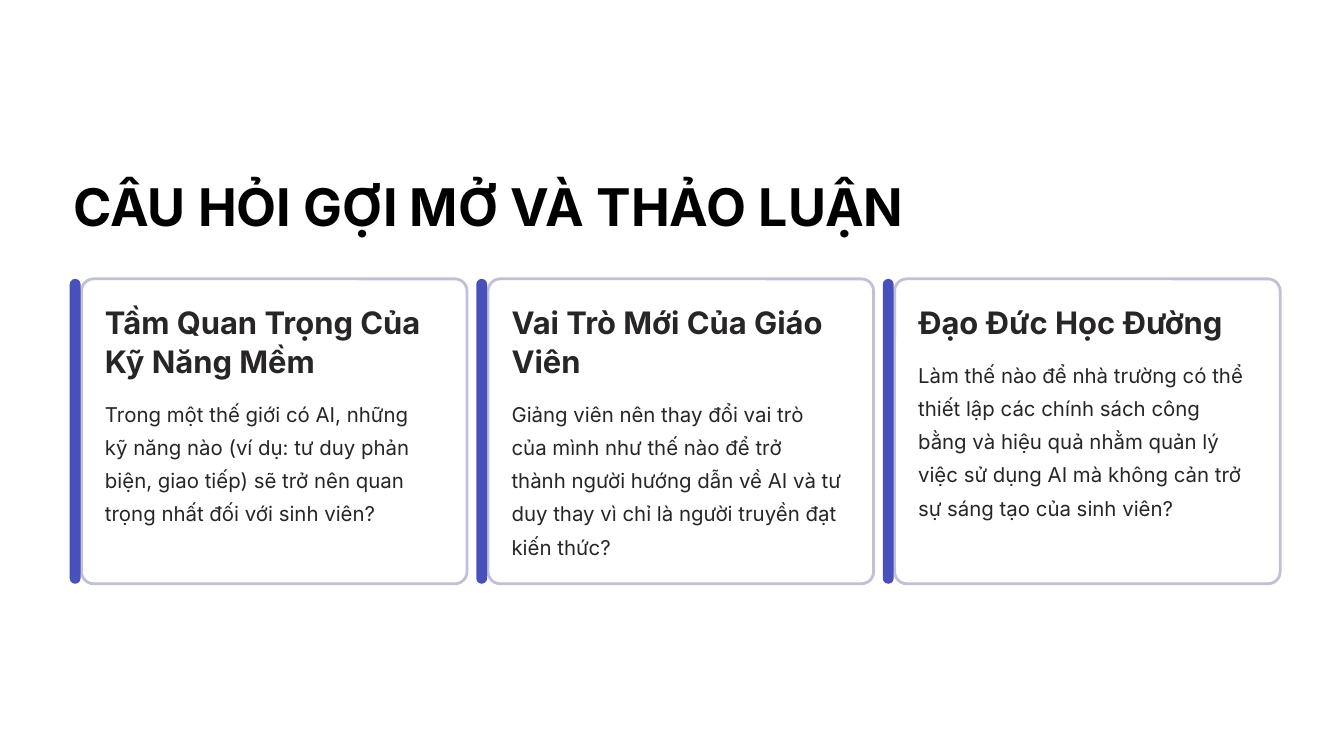
from dataclasses import dataclass

from pptx import Presentation
from pptx import util as u
from pptx.dml.color import RGBColor
from pptx.enum import shapes, text


@dataclass(frozen=True)
class Theme:
    font: str = "Inter"
    black: str = "000000"
    ink: str = "272525"
    white: str = "FFFFFF"
    edge: str = "C0C1D7"
    accent: str = "4950BC"
    # Each type style: size and line pitch in points, bold
    title: tuple = (44.5, 55.5, True)
    head: tuple = (26.5, 33, True)
    body: tuple = (17.5, 28.5, False)


class Board:
    """Draws on one slide, with lengths in a grid of 160 columns by 90 rows."""

    def __init__(self, deck, theme):
        self.theme = theme
        self.slide = deck.slides.add_slide(deck.slide_layouts[5])
        self.col = deck.slide_width / 160
        self.row = deck.slide_height / 90

    def area(self, x, y, w, h):
        return (round(x * self.col), round(y * self.row),
                round(w * self.col), round(h * self.row))

    def fill_text(self, shape, words, style, color):
        size, pitch, bold = style
        frame = shape.text_frame
        frame.text = words
        frame.word_wrap = True
        frame.auto_size = text.MSO_AUTO_SIZE.NONE
        frame.vertical_anchor = text.MSO_ANCHOR.TOP
        frame.margin_left = frame.margin_right = 0
        frame.margin_top = frame.margin_bottom = 0
        para = frame.paragraphs[0]
        para.alignment = text.PP_ALIGN.LEFT
        para.line_spacing = u.Pt(pitch)
        para.space_before = u.Pt(0)
        font = para.runs[0].font
        font.name, font.size, font.bold = self.theme.font, u.Pt(size), bold
        font.color.rgb = RGBColor.from_string(color)

    def title(self, words, *box):
        shape = self.slide.shapes.title
        shape.left, shape.top, shape.width, shape.height = self.area(*box)
        self.fill_text(shape, words, self.theme.title, self.theme.black)

    def label(self, words, style, *box):
        shape = self.slide.shapes.add_textbox(*self.area(*box))
        self.fill_text(shape, words, style, self.theme.ink)

    def panel(self, fill, round_by, *box, edge=None):
        shape = self.slide.shapes.add_shape(
            shapes.MSO_SHAPE.ROUNDED_RECTANGLE, *self.area(*box))
        shape.shadow.inherit = False
        shape.adjustments[0] = round_by
        shape.fill.solid()
        shape.fill.fore_color.rgb = RGBColor.from_string(fill)
        if edge:
            shape.line.color.rgb = RGBColor.from_string(edge)
            shape.line.width = u.Pt(2.4)
        else:
            shape.line.fill.background()

    def card(self, x, head, lines, body):
        """Draw a card; lines is how many lines its heading takes."""
        look = self.theme
        top, tall, left, wide = 33.2, 36.3, x + 4.2, 39.3
        self.panel(look.white, 0.04, x + 1.4, top, 45.9, tall, edge=look.edge)
        self.panel(look.accent, 0.5, x, top, 1.3, tall)
        deep = 4.65 * lines
        self.label(head, look.head, left, 36, wide, deep)
        self.label(body, look.body, left, 37.5 + deep, wide, 19.8)


CARDS = [
    ("Tầm Quan Trọng Của Kỹ Năng Mềm", 2,
     "Trong một thế giới có AI, những kỹ năng nào (ví dụ: tư duy phản biện, "
     "giao tiếp) sẽ trở nên quan trọng nhất đối với sinh viên?"),
    ("Vai Trò Mới Của Giáo Viên", 2,
     "Giảng viên nên thay đổi vai trò của mình như thế nào để trở thành "
     "người hướng dẫn về AI và tư duy thay vì chỉ là người truyền đạt "
     "kiến thức?"),
    ("Đạo Đức Học Đường", 1,
     "Làm thế nào để nhà trường có thể thiết lập các chính sách công bằng "
     "và hiệu quả nhằm quản lý việc sử dụng AI mà không cản trở sự sáng "
     "tạo của sinh viên?"),
]


def main():
    deck = Presentation()
    deck.slide_width, deck.slide_height = u.Inches(16), u.Inches(9)
    board = Board(deck, Theme())
    board.title("CÂU HỎI GỢI MỞ VÀ THẢO LUẬN", 8.7, 20.5, 110, 7.8)
    for i, (head, lines, body) in enumerate(CARDS):
        board.card(8.3 + 48.4 * i, head, lines, body)
    deck.save("out.pptx")


if __name__ == "__main__":
    main()
